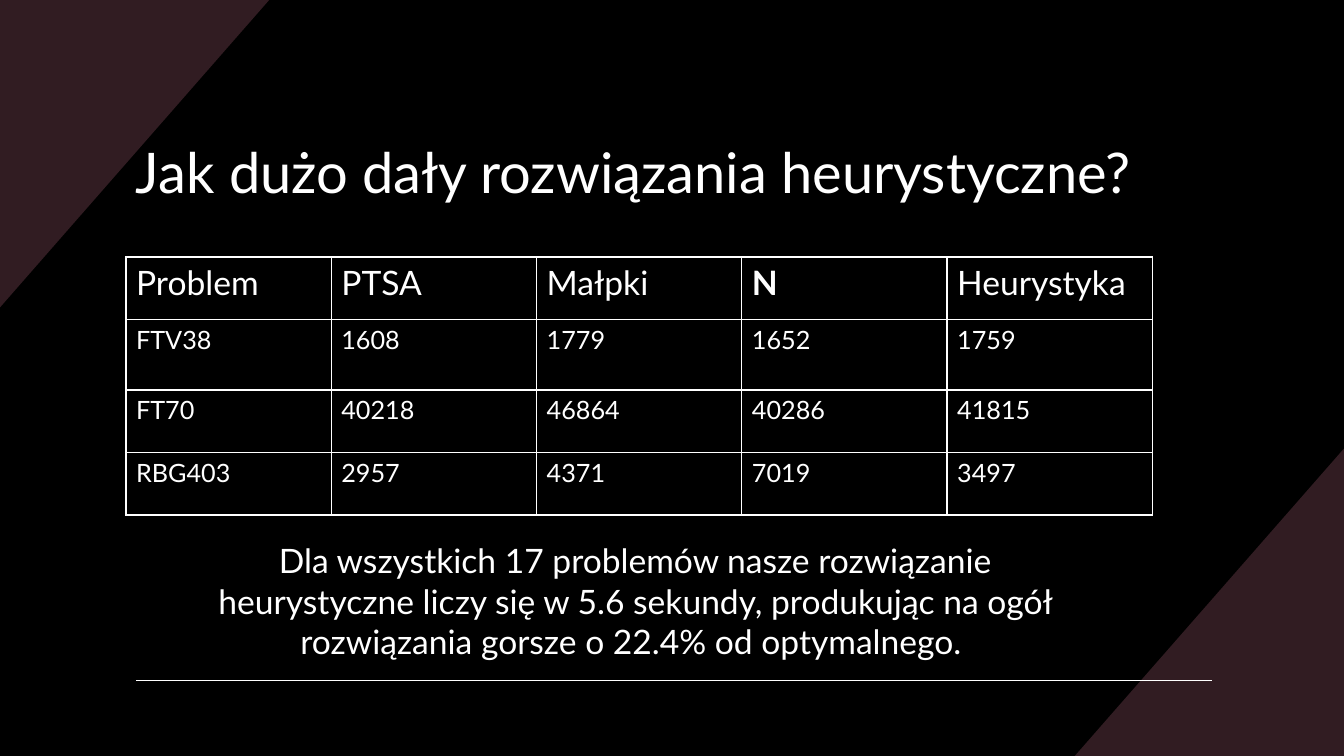
from lxml import etree
from pptx import Presentation
from pptx.dml.color import RGBColor
from pptx.enum.shapes import MSO_CONNECTOR
from pptx.enum.text import MSO_ANCHOR, PP_ALIGN
from pptx.oxml.ns import qn
from pptx.util import Inches, Pt

STRAIGHT = MSO_CONNECTOR.STRAIGHT
MIDDLE = MSO_ANCHOR.MIDDLE
TOP = MSO_ANCHOR.TOP
LEFT = PP_ALIGN.LEFT
CENTER = PP_ALIGN.CENTER

FONT = "Lato"
COLORS = {"background": "000000", "corner": "311C22", "text": "FFFFFF", "line": "FFFFFF"}
WIDTH, HEIGHT = 13.33, 7.5
CORNER_WIDTH, CORNER_HEIGHT = 2.67, 3.05
HARD_SPACE = chr(160)

TITLE = "Jak dużo dały rozwiązania heurystyczne?"
RESULTS = [
    ("Problem", "PTSA", "Małpki", "N", "Heurystyka"),
    ("FTV38", "1608", "1779", "1652", "1759"),
    ("FT70", "40218", "46864", "40286", "41815"),
    ("RBG403", "2957", "4371", "7019", "3497"),
]
BOLD_HEADING = "N"
ROW_HEIGHTS = [0.62, 0.7, 0.62, 0.62]
TABLE_WIDTH = 10.18
SUMMARY = (
    f"Dla wszystkich 17 problemów{HARD_SPACE}nasze{HARD_SPACE}rozwiązanie "
    f"heurystyczne{HARD_SPACE}liczy się w 5.6 sekundy, produkując na ogół "
    f"rozwiązania gorsze o 22.4% od optymalnego.{HARD_SPACE}"
)


def rgb(name):
    return RGBColor.from_string(COLORS[name])


def write(frame, text, size, align=LEFT, bold=False):
    frame.word_wrap = True
    para = frame.paragraphs[0]
    para.text = text
    para.alignment = align
    para.font.name = FONT
    para.font.size = Pt(size)
    para.font.bold = bold
    para.font.color.rgb = rgb("text")


def add_text(page, place, text, size, align, anchor):
    box = page.shapes.add_textbox(*map(Inches, place))
    box.text_frame.vertical_anchor = anchor
    write(box.text_frame, text, size, align)


def add_corner(page, x, y, direction):
    builder = page.shapes.build_freeform(Inches(x), Inches(y))
    builder.add_line_segments([
        (Inches(x + direction * CORNER_WIDTH), Inches(y)),
        (Inches(x), Inches(y + direction * CORNER_HEIGHT)),
    ])
    corner = builder.convert_to_shape()
    corner.shadow.inherit = False
    corner.fill.solid()
    corner.fill.fore_color.rgb = rgb("corner")
    corner.line.fill.background()


def add_rule(page, left, right, y):
    rule = page.shapes.add_connector(STRAIGHT, *map(Inches, (left, y, right, y)))
    rule.line.color.rgb = rgb("line")
    rule.line.width = Pt(1)
    etree.SubElement(rule._element.spPr, qn("a:effectLst"))


def style_cell(cell):
    properties = cell._tc.get_or_add_tcPr()
    for side in ("a:lnL", "a:lnR", "a:lnT", "a:lnB"):
        border = etree.SubElement(properties, qn(side), w=str(Pt(1)))
        fill = etree.SubElement(border, qn("a:solidFill"))
        etree.SubElement(fill, qn("a:srgbClr"), val=COLORS["line"])
    cell.fill.solid()
    cell.fill.fore_color.rgb = rgb("background")


def add_results(page, left, top):
    columns = len(RESULTS[0])
    place = (left, top, TABLE_WIDTH, sum(ROW_HEIGHTS))
    table = page.shapes.add_table(len(RESULTS), columns, *map(Inches, place)).table
    table.first_row = False
    table.horz_banding = False
    for index, (values, height) in enumerate(zip(RESULTS, ROW_HEIGHTS)):
        table.rows[index].height = Inches(height)
        for cell, value in zip(table.rows[index].cells, values):
            style_cell(cell)
            write(cell.text_frame, value, 18 if index else 24, bold=value == BOLD_HEADING)


def main():
    """Build the slide on heuristic results and save it."""
    deck = Presentation()
    deck.slide_width, deck.slide_height = Inches(WIDTH), Inches(HEIGHT)
    page = deck.slides.add_slide(deck.slide_layouts[6])
    page.background.fill.solid()
    page.background.fill.fore_color.rgb = rgb("background")
    add_corner(page, WIDTH, HEIGHT, -1)
    add_corner(page, 0, 0, 1)
    add_rule(page, 1.35, 12.02, 6.75)
    add_text(page, (1.25, 0.95, 10.83, 1.49), TITLE, 40, LEFT, MIDDLE)
    add_results(page, 1.25, 2.55)
    add_text(page, (1.43, 5.31, 9.74, 1.31), SUMMARY, 24, CENTER, TOP)
    deck.save("out.pptx")


if __name__ == "__main__":
    main()
